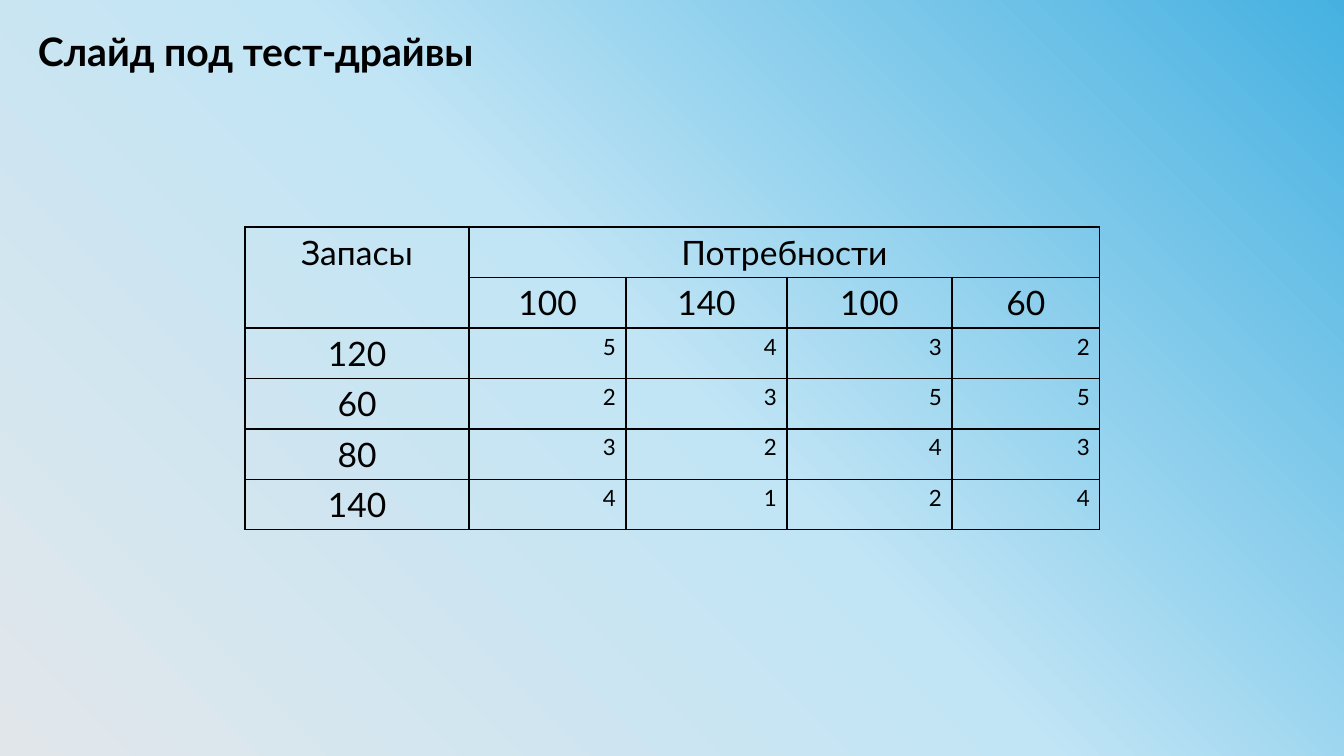
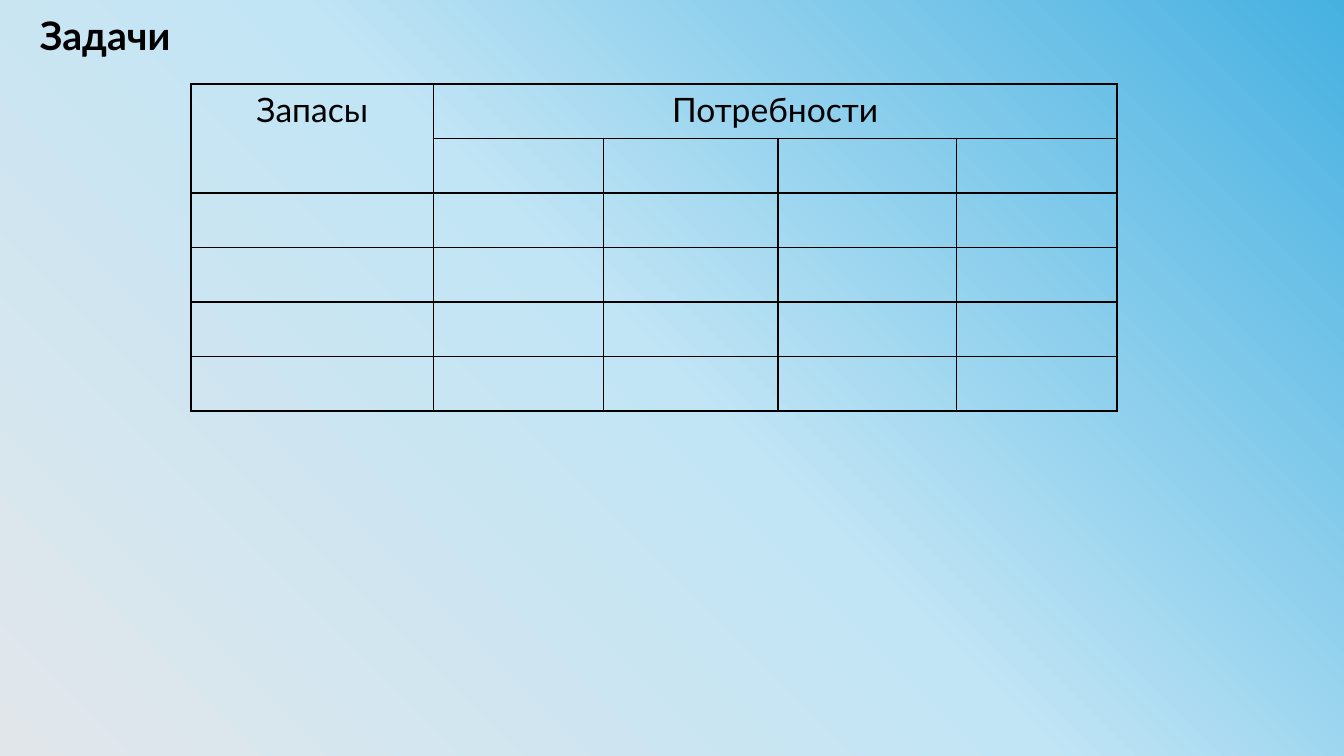
from lxml.etree import SubElement
from pptx import Presentation
from pptx.dml.color import RGBColor
from pptx.enum.shapes import MSO_SHAPE
from pptx.enum.text import MSO_AUTO_SIZE, PP_ALIGN
from pptx.oxml.ns import qn
from pptx.util import Emu, Pt

RECT = MSO_SHAPE.RECTANGLE
GROW = MSO_AUTO_SIZE.SHAPE_TO_FIT_TEXT
LEFT, MID, RIGHT = PP_ALIGN.LEFT, PP_ALIGN.CENTER, PP_ALIGN.RIGHT

WIDE, HIGH = 1344, 756
FONT, BLACK = "Lato", "000000"
STOPS = [(0, "46B1E1"), (50, "C1E5F5"), (100, "E1E6EB")]
COLS = [224, 157, 161, 165, 148]
ROWS = 6
HEAD = ["Запасы", "Потребности"]

SLIDES = [
    {
        "title": "Слайд под тест-драйвы",
        "spot": (28, 22),
        "table": (245, 227, 855, 303),
        "needs": [100, 140, 100, 60],
        "stocks": [120, 60, 80, 140],
        "costs": [[5, 4, 3, 2], [2, 3, 5, 5], [3, 2, 4, 3], [4, 1, 2, 4]],
    },
    {
        "title": "Задачи",
        "spot": (30, 6),
        "table": (191, 84, 926, 327),
        "needs": [],
        "stocks": [],
        "costs": [],
    },
]


def px(n):
    return Emu(round(n * 914400 / 100.8))


def color(code):
    return RGBColor.from_string(code)


def write(frame, text, size=24, bold=False, align=LEFT):
    para = frame.paragraphs[0]
    para.alignment = align
    run = para.add_run()
    run.text = str(text)
    font = run.font
    font.name, font.size, font.bold = FONT, Pt(size), bold
    font.color.rgb = color(BLACK)


def add_back(slide):
    back = slide.shapes.add_shape(RECT, 0, 0, px(WIDE), px(HIGH))
    back.shadow.inherit = False
    back.line.fill.background()
    back.fill.gradient()
    back.fill.gradient_angle = 225  # counter-clockwise: top right to bottom left
    stops = back.fill.gradient_stops
    stops_el = back.element.spPr.find(".//" + qn("a:gsLst"))
    for stop in list(stops_el):
        stops_el.remove(stop)
    for pos, code in STOPS:
        stop = SubElement(stops_el, qn("a:gs"), pos=str(pos * 1000))
        SubElement(stop, qn("a:srgbClr"), val=code)


def add_title(slide, text, spot):
    box = slide.shapes.add_textbox(*map(px, (*spot, 1272, 57)))
    frame = box.text_frame
    frame.word_wrap = True
    frame.auto_size = GROW
    write(frame, text, size=28, bold=True)


def frame_cell(cell):
    """Give the cell a thin black border and no fill."""
    props = cell._tc.get_or_add_tcPr()
    for side in ("lnL", "lnR", "lnT", "lnB"):
        line = SubElement(props, qn("a:" + side), w=str(Pt(1)))
        fill = SubElement(line, qn("a:solidFill"))
        SubElement(fill, qn("a:srgbClr"), val=BLACK)
    cell.fill.background()


def add_grid(slide, data):
    left, top, wide, high = data["table"]
    grid = slide.shapes.add_table(
        ROWS, len(COLS), px(left), px(top), px(wide), px(high)).table
    grid.first_row = grid.horz_banding = False
    for col, part in zip(grid.columns, COLS):
        col.width = px(wide * part / sum(COLS))
    for row in grid.rows:
        row.height = px(high / ROWS)
    for cell in grid.iter_cells():
        frame_cell(cell)
    grid.cell(0, 0).merge(grid.cell(1, 0))
    grid.cell(0, 1).merge(grid.cell(0, len(COLS) - 1))

    def put(row, col, text, **style):
        write(grid.cell(row, col).text_frame, text, **style)

    for col, text in enumerate(HEAD):
        put(0, col, text, align=MID)
    for col, need in enumerate(data["needs"], 1):
        put(1, col, need, align=MID)
    for row, (stock, costs) in enumerate(zip(data["stocks"], data["costs"]), 2):
        put(row, 0, stock, align=MID)
        for col, cost in enumerate(costs, 1):
            put(row, col, cost, size=16, align=RIGHT)


def main():
    deck = Presentation()
    deck.slide_width, deck.slide_height = px(WIDE), px(HIGH)
    for data in SLIDES:
        slide = deck.slides.add_slide(deck.slide_layouts[6])
        add_back(slide)
        add_title(slide, data["title"], data["spot"])
        add_grid(slide, data)
    deck.save("out.pptx")


if __name__ == "__main__":
    main()
